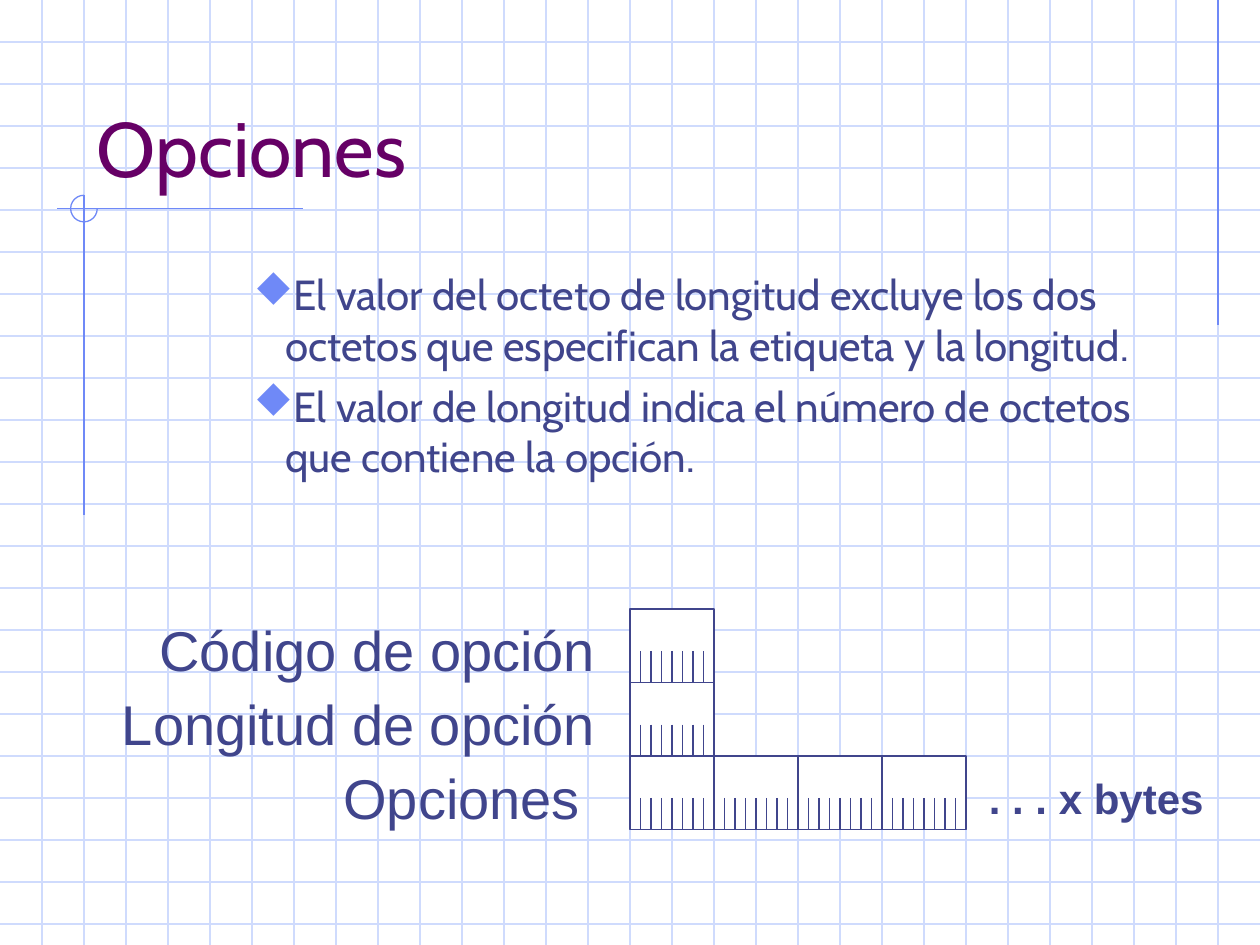
from lxml.etree import SubElement
from pptx import Presentation
from pptx.dml.color import RGBColor
from pptx.enum.shapes import MSO_CONNECTOR, MSO_SHAPE
from pptx.enum.text import MSO_ANCHOR, MSO_AUTO_SIZE, PP_ALIGN
from pptx.oxml.ns import qn
from pptx.util import Pt

WHITE = RGBColor(0xFF, 0xFF, 0xFF)
GRID_BLUE = RGBColor(0xCF, 0xDB, 0xFD)
ACCENT_BLUE = RGBColor(0x6F, 0x89, 0xF7)
NAVY = RGBColor(0x40, 0x45, 0x8C)
PURPLE = RGBColor(0x66, 0x00, 0x66)

SLIDE_W, SLIDE_H = 720, 540
GRID_STEP = 24
LINE_W = 0.75
OCTET_W, OCTET_H = 48, 42
BITS = 8
TICK_H = 18

RULES = [
    "El valor del octeto de longitud excluye los dos octetos que especifican "
    "la etiqueta y la longitud.",
    "El valor de longitud indica el número de octetos que contiene la opción.",
]
FIELDS = [("Código de opción", 1), ("Longitud de opción", 1), ("Opciones ", 4)]


def add_line(shapes, x1, y1, x2, y2, color):
    line = shapes.add_connector(
        MSO_CONNECTOR.STRAIGHT, Pt(x1), Pt(y1), Pt(x2), Pt(y2))
    line.line.color.rgb = color
    line.line.width = Pt(LINE_W)
    SubElement(line._element.spPr, qn("a:effectLst"))


def add_run(paragraph, text, font, size, color, bold=False):
    run = paragraph.add_run()
    run.text = text
    run.font.name = font
    run.font.size = Pt(size)
    run.font.bold = bold
    run.font.color.rgb = color


def add_text_frame(slide, left, top, width, height, wrap=True):
    box = slide.shapes.add_textbox(Pt(left), Pt(top), Pt(width), Pt(height))
    box.text_frame.word_wrap = wrap
    return box.text_frame


def next_paragraph(frame, index):
    return frame.add_paragraph() if index else frame.paragraphs[0]


def add_diamond_bullet(paragraph, color, percent, margin, hanging):
    props = paragraph._p.get_or_add_pPr()
    props.set("marL", str(Pt(margin)))
    props.set("indent", str(-Pt(hanging)))
    bullet_color = SubElement(props, qn("a:buClr"))
    SubElement(bullet_color, qn("a:srgbClr"), val=str(color))
    SubElement(props, qn("a:buSzPct"), val=str(percent * 1000))
    SubElement(props, qn("a:buFont"), typeface="Wingdings", charset="2")
    SubElement(props, qn("a:buChar"), char="u")  # the diamond in Wingdings


def add_grid(slide, width, height):
    grid = slide.shapes.add_group_shape().shapes
    for y in range(GRID_STEP, height, GRID_STEP):
        add_line(grid, 0, y, width, y, GRID_BLUE)
    for x in range(GRID_STEP, width, GRID_STEP):
        add_line(grid, x, 0, x, height, GRID_BLUE)


def add_accents(slide, left, top):
    """Right-hand rule, plus the crossing rules and open circle at left, top."""
    accents = slide.shapes.add_group_shape().shapes
    right = SLIDE_W - GRID_STEP
    radius = 7.6
    add_line(accents, right, 0, right, 186, ACCENT_BLUE)
    add_line(accents, left + 125, top, left - 15.5, top, ACCENT_BLUE)
    add_line(accents, left, top - radius, left, top + 175, ACCENT_BLUE)
    circle = accents.add_shape(
        MSO_SHAPE.ARC, Pt(left - radius), Pt(top - radius),
        Pt(2 * radius), Pt(2 * radius))
    circle.adjustments[0] = 0
    circle.adjustments[1] = 162  # 270 degrees
    circle.shadow.inherit = False
    circle.fill.background()
    circle.line.color.rgb = ACCENT_BLUE
    circle.line.width = Pt(LINE_W)


def set_title(slide, left, top, width, height):
    title = slide.shapes.title
    title.left, title.top = Pt(left), Pt(top)
    title.width, title.height = Pt(width), Pt(height)
    frame = title.text_frame
    frame.auto_size = MSO_AUTO_SIZE.NONE
    frame.vertical_anchor = MSO_ANCHOR.BOTTOM
    frame.paragraphs[0].alignment = PP_ALIGN.LEFT
    add_run(frame.paragraphs[0], "Opciones", "Cabin", 44, PURPLE)
    slide.shapes._spTree.append(title._element)  # in front of the grid


def add_rules(slide, left, top, width, height):
    frame = add_text_frame(slide, left, top, width, height)
    for index, rule in enumerate(RULES):
        paragraph = next_paragraph(frame, index)
        paragraph.space_before = Pt(6)
        add_diamond_bullet(paragraph, ACCENT_BLUE, 95, margin=90, hanging=18)
        add_run(paragraph, rule, "Cabin", 24, NAVY)


def add_octet(slide, left, top, is_last):
    """Box with a tick at each bit; the last of a row also closes its edge."""
    octet = slide.shapes.add_group_shape().shapes
    box = octet.add_shape(
        MSO_SHAPE.RECTANGLE, Pt(left), Pt(top), Pt(OCTET_W), Pt(OCTET_H))
    box.shadow.inherit = False
    box.fill.solid()
    box.fill.fore_color.rgb = WHITE
    box.line.color.rgb = NAVY
    box.line.width = Pt(LINE_W)
    bottom = top + OCTET_H
    for bit in range(BITS + is_last):
        x = left + bit * OCTET_W / BITS
        add_line(octet, x, bottom - TICK_H, x, bottom, NAVY)


def add_option_format(slide, left, top):
    """Field labels from left, their octets, and the open-ended size."""
    octets_left = left + 330
    for row, (_, count) in enumerate(FIELDS):
        for column in range(count):
            add_octet(slide, octets_left + column * OCTET_W,
                      top + row * OCTET_H, column == count - 1)

    labels = add_text_frame(slide, left, top, 317.5, 130)
    for index, (label, _) in enumerate(FIELDS):
        paragraph = next_paragraph(labels, index)
        paragraph.alignment = PP_ALIGN.RIGHT
        paragraph.space_before = Pt(4)
        add_run(paragraph, label, "Arial", 32, NAVY)

    size = add_text_frame(slide, left + 528, top + 90, 137, 36, wrap=False)
    add_run(size.paragraphs[0], ". . . x bytes", "Arial", 24, NAVY, bold=True)


def main():
    prs = Presentation()
    prs.slide_width, prs.slide_height = Pt(SLIDE_W), Pt(SLIDE_H)
    slide = prs.slides.add_slide(prs.slide_layouts[5])
    slide.background.fill.solid()
    slide.background.fill.fore_color.rgb = WHITE
    add_grid(slide, SLIDE_W, SLIDE_H)
    add_accents(slide, 48, 119.2)
    set_title(slide, 48, 24, 612, 90)
    add_rules(slide, 66, 150, 612, 324)
    add_option_format(slide, 30, 348)
    prs.save("out.pptx")


if __name__ == "__main__":
    main()
